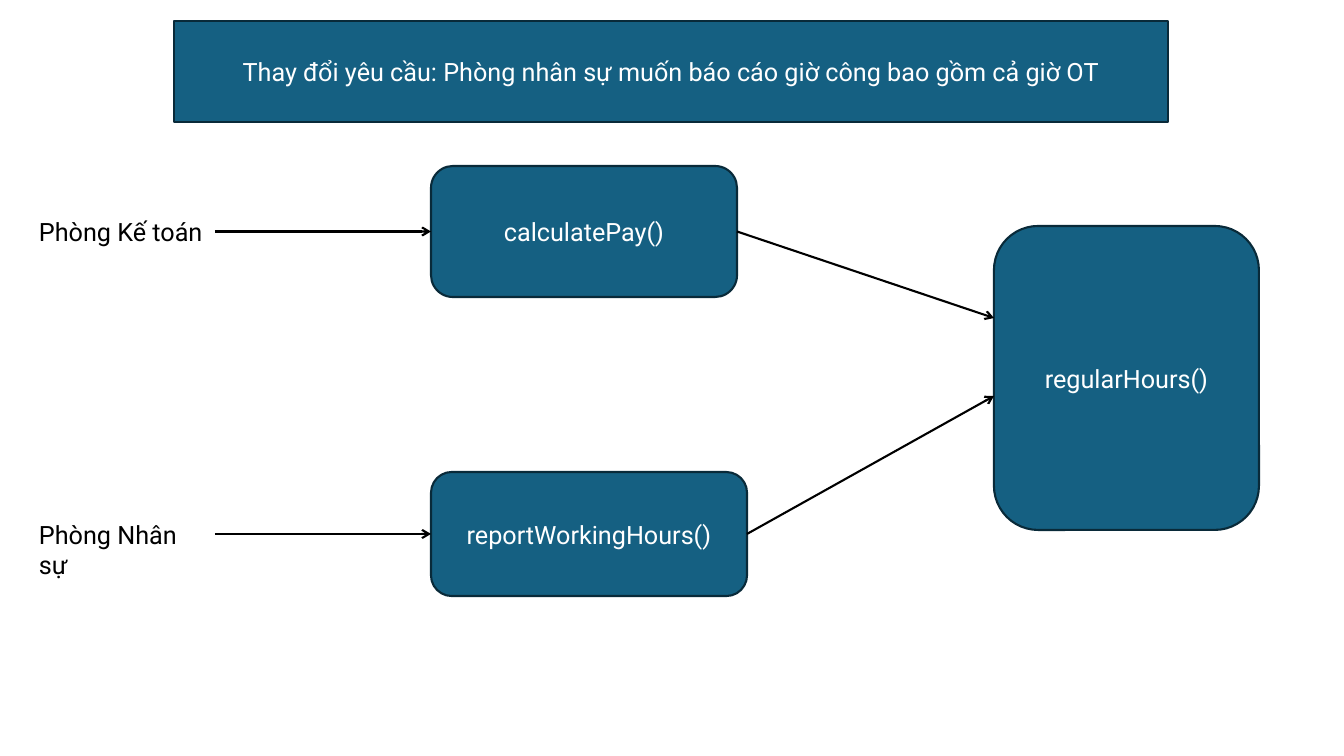
import dataclasses

import pptx
import pptx.dml.color
import pptx.enum.shapes
import pptx.enum.text
import pptx.oxml
import pptx.oxml.ns
import pptx.util


@dataclasses.dataclass(frozen=True)
class Theme:
    """Hold the colours, font and sizes of the slide."""
    fill: str = "156082"
    edge: str = "092A39"
    light: str = "FFFFFF"
    dark: str = "000000"
    font: str = "Roboto"
    size: int = 18
    line: float = 1.5


THEME = Theme()
SCALE = 914400 / 100.8


def px(n):
    """Turn pixels into EMU."""
    return pptx.util.Emu(round(n * SCALE))


def rgb(code):
    """Turn a hex code into a colour."""
    return pptx.dml.color.RGBColor.from_string(code)


def place(shape, box):
    """Move a shape to a pixel box."""
    shape.left, shape.top, shape.width, shape.height = map(px, box)


def write(shape, text, color, align, anchor):
    """Write one styled paragraph in a shape."""
    frame = shape.text_frame
    frame.word_wrap = True
    frame.auto_size = pptx.enum.text.MSO_AUTO_SIZE.NONE
    frame.vertical_anchor = anchor
    par = frame.paragraphs[0]
    par.text = text
    par.alignment = align
    par.font.name = THEME.font
    par.font.size = pptx.util.Pt(THEME.size)
    par.font.color.rgb = rgb(color)


def paint(shape, text):
    """Give a shape the panel fill, edge and centred text."""
    shape.fill.solid()
    shape.fill.fore_color.rgb = rgb(THEME.fill)
    shape.line.color.rgb = rgb(THEME.edge)
    shape.line.width = pptx.util.Pt(THEME.line)
    write(shape, text, THEME.light, pptx.enum.text.PP_ALIGN.CENTER,
          pptx.enum.text.MSO_ANCHOR.MIDDLE)


def banner(slide, box, text):
    """Draw the title as a filled bar."""
    title = slide.shapes.title
    place(title, box)
    paint(title, text)


def node(slide, box, text):
    """Draw a rounded box for one method."""
    kind = pptx.enum.shapes.MSO_SHAPE.ROUNDED_RECTANGLE
    shape = slide.shapes.add_shape(kind, *map(px, box))
    shape.shadow.inherit = False
    paint(shape, text)
    return shape


def arrow(slide, start, end, tip=(0, 0)):
    """Join two shapes, or end at a free tip when no end shape is given."""
    kind = pptx.enum.shapes.MSO_CONNECTOR.STRAIGHT
    link = slide.shapes.add_connector(kind, 0, 0, *map(px, tip))
    link.begin_connect(start, 3)
    if end is not None:
        end_site = 1
        link.end_connect(end, end_site)
    link.line.color.rgb = rgb(THEME.dark)
    link.line.width = pptx.util.Pt(THEME.line)
    tail = pptx.oxml.parse_xml(
        f'<a:tailEnd {pptx.oxml.ns.nsdecls("a")} type="arrow"/>')
    link.line._get_or_add_ln().append(tail)
    link._element.spPr.append(pptx.oxml.parse_xml(
        f'<a:effectLst {pptx.oxml.ns.nsdecls("a")}/>'))


def row(slide, box, team, method, tip):
    """Draw a team, its method and the arrow on to the shared method."""
    left, top, width, height = box
    label_w, label_h, indent = 186, 40, 402
    label = slide.shapes.add_textbox(
        *map(px, (left, top + (height - label_h) / 2, label_w, label_h)))
    write(label, team, THEME.dark, pptx.enum.text.PP_ALIGN.LEFT,
          pptx.enum.text.MSO_ANCHOR.TOP)
    shape = node(slide, (left + indent, top, width - indent, height), method)
    arrow(slide, label, shape)
    arrow(slide, shape, None, tip)


def main():
    """Build and save the slide."""
    deck = pptx.Presentation()
    deck.slide_width, deck.slide_height = px(1344), px(756)
    slide = deck.slides.add_slide(deck.slide_layouts[5])
    banner(slide, (174, 21, 994, 101),
           "Thay đổi yêu cầu: Phòng nhân sự muốn báo cáo giờ công bao gồm cả giờ OT")
    goal = (994, 226, 265, 304)
    node(slide, goal, "regularHours()")
    row(slide, (29, 166, 708, 131), "Phòng Kế toán", "calculatePay()",
        (goal[0], 318))
    row(slide, (29, 472, 718, 124), "Phòng Nhân sự", "reportWorkingHours()",
        (goal[0], 396))
    deck.save("out.pptx")


if __name__ == "__main__":
    main()
